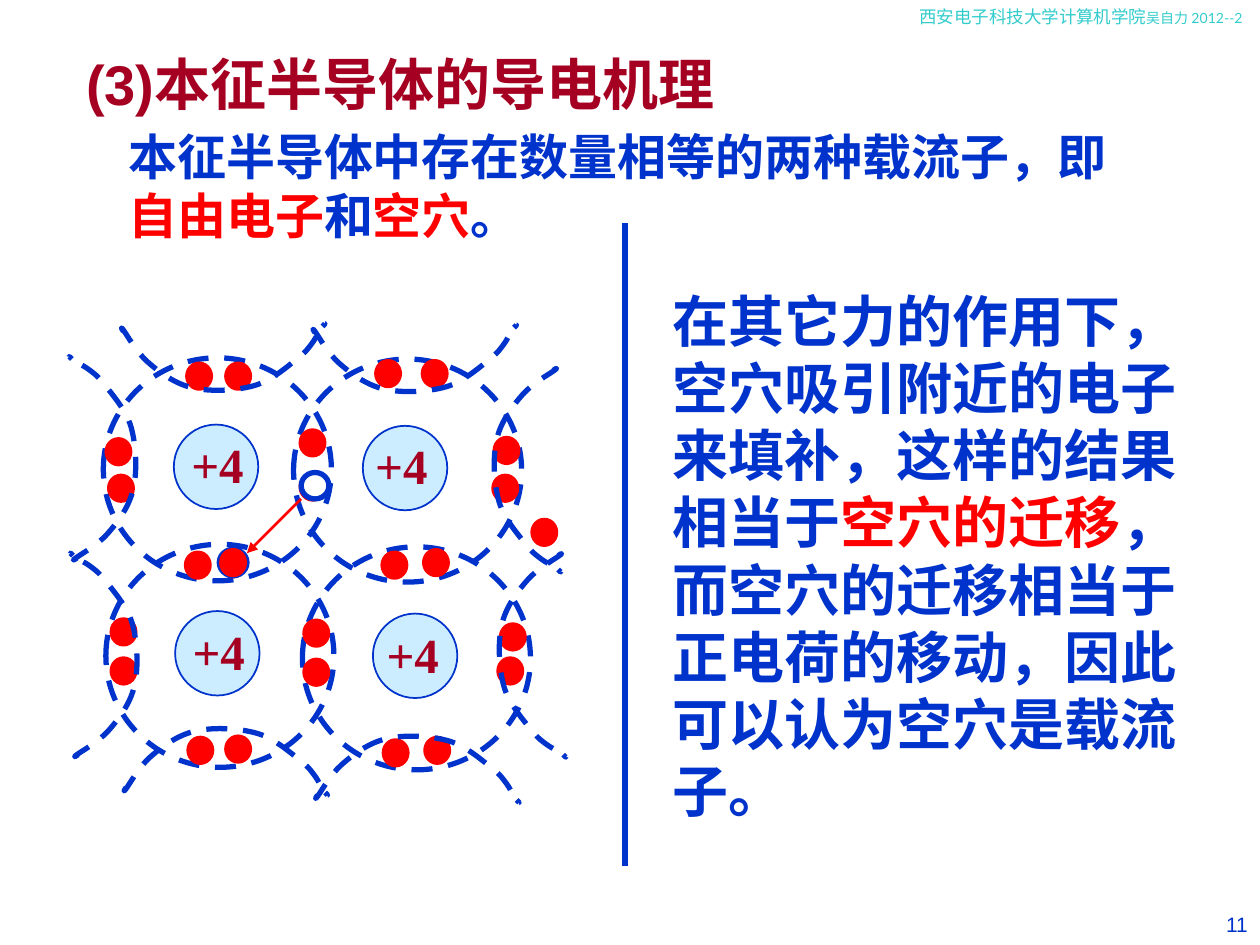
from lxml.etree import SubElement
from pptx import Presentation
from pptx.dml.color import RGBColor
from pptx.enum.dml import MSO_LINE
from pptx.enum.shapes import MSO_CONNECTOR, MSO_SHAPE
from pptx.enum.text import MSO_ANCHOR, PP_ALIGN
from pptx.oxml.ns import qn
from pptx.util import Inches, Pt

COLORS = {
    "blue": "0033CC", "red": "FF0000", "crimson": "A50021",
    "pale": "CCECFF", "teal": "33CCCC", "white": "FFFFFF",
}
RGB = {name: RGBColor.from_string(value) for name, value in COLORS.items()}
COLUMNS, ROWS = 1000, 750
CELL = Inches(0.01)  # one column wide, one row high

deck = Presentation()
deck.slide_width, deck.slide_height = COLUMNS * CELL, ROWS * CELL
page = deck.slides.add_slide(deck.slide_layouts[6])


def write(shapes, place, spans, align=PP_ALIGN.LEFT, anchor=MSO_ANCHOR.TOP, wrap=True):
    """Add a one-paragraph text box; each span is (text, colour, font format)."""
    box = shapes.add_textbox(*(n * CELL for n in place))
    box.text_frame.word_wrap = wrap
    box.text_frame.vertical_anchor = anchor
    para = box.text_frame.paragraphs[0]
    para.alignment = align
    for text, color, style in spans:
        span = para.add_run()
        span.text = text
        span.font.color.rgb = RGB[color]
        for key, value in style.items():
            setattr(span.font, key, value)


def ellipse(shapes, place, fill, line, width=3):
    """Add an ellipse; without a fill it is a dashed outline."""
    oval = shapes.add_shape(MSO_SHAPE.OVAL, *(n * CELL for n in place))
    oval.shadow.inherit = False
    oval.line.color.rgb, oval.line.width = RGB[line], Pt(width)
    if fill:
        oval.fill.solid()
        oval.fill.fore_color.rgb = RGB[fill]
    else:
        oval.fill.background()
        oval.line.dash_style = MSO_LINE.DASH


header = {"size": Pt(10), "name": "Lato"}
number = {"size": Pt(11.9), "name": "Arial"}
title = {"size": Pt(32), "name": "Times New Roman", "bold": True}
body = {**title, "size": Pt(28)}

write(page.shapes, (720, 0, 280, 40), [
    ("西安电子科技大学计算机学院", "teal", header),
    ("吴自力 2012--2", "teal", {**header, "size": Pt(8)}),
])
write(page.shapes, (750, 719, 250, 31), [("11", "blue", number)], PP_ALIGN.RIGHT)
write(page.shapes, (53, 34, 530, 64), [
    ("(3)", "crimson", {**title, "name": "Arial"}),
    ("本征半导体的导电机理", "crimson", title),
], PP_ALIGN.CENTER, MSO_ANCHOR.MIDDLE, wrap=False)

# Crystal lattice: four atoms, each inside a dashed bond ring
lattice = page.shapes.add_group_shape().shapes
atoms = [(138, 337), (288, 338), (139, 485), (296, 487)]
rings = [(82, 284), (233, 285), (84, 432), (240, 434)]
for atom, ring in zip(atoms, rings):
    ellipse(lattice, (*atom, 67, 67), "pale", "blue", 1)
    ellipse(lattice, (*ring, 181, 177), None, "blue")

electrons = [
    (149, 289), (180, 289), (299, 287), (336, 287),
    (85, 349), (87, 378), (239, 342), (239, 377), (393, 348), (392, 378),
    (148, 439), (304, 439), (337, 437), (423, 413),
    (89, 492), (89, 523), (242, 493), (242, 524), (398, 496), (396, 523),
    (150, 586), (180, 585), (305, 588), (338, 586), (176, 438),
]
for electron in electrons:
    ellipse(lattice, (*electron, 18, 19), "red", "red")

# Outer bonds: one Bezier outline around its centre, mirrored and turned per side.
# After the start point, every three points make one curve.
outline = [
    (-21, 78),
    (-22, 79), (-26, 81), (-22, 78),
    (-18, 75), (-5, 68), (3, 59),
    (11, 50), (21, 37), (24, 22),
    (27, 8), (26, -12), (22, -26),
    (18, -40), (6, -53), (0, -61),
    (-6, -68), (-8, -69), (-12, -72),
    (-16, -75), (-23, -78), (-25, -80),
    (-28, -81), (-27, -82), (-27, -82),
    (-27, -82), (-25, -80), (-25, -80),
]
facing = {  # horizontal sign, vertical sign, rotation
    "left": (1, 1, 0), "right": (-1, -1, 0),
    "top": (-1, -1, 270), "bottom": (-1, 1, 90),
}
bonds = [
    ("right", 418, 372), ("right", 422, 519), ("top", 176, 283), ("top", 328, 284),
    ("bottom", 178, 605), ("bottom", 330, 611), ("left", 82, 365), ("left", 83, 521),
]
for side, center_x, center_y in bonds:
    sign_x, sign_y, rotation = facing[side]
    points = [((center_x + sign_x * x) * CELL, (center_y + sign_y * y) * CELL)
              for x, y in outline]
    builder = lattice.build_freeform(*points[0])
    builder.add_line_segments(points[1:], close=False)
    bond = builder.convert_to_shape()
    bond.rotation = rotation
    bond.shadow.inherit = False
    bond.fill.background()
    bond.line.color.rgb, bond.line.width = RGB["blue"], Pt(3)
    bond.line.dash_style = MSO_LINE.DASH
    route = bond._element.find(".//" + qn("a:path"))
    segments = route.findall(qn("a:lnTo"))
    for first in range(0, len(segments), 3):
        curve = SubElement(route, qn("a:cubicBezTo"))
        for segment in segments[first:first + 3]:
            curve.append(segment[0])
            route.remove(segment)

for charge in [(142, 340), (288, 341), (143, 488), (297, 491)]:
    write(lattice, (*charge, 77, 57), [("+4", "crimson", body)])
ellipse(lattice, (174, 436, 22, 21), "white", "blue")

divider = page.shapes.add_connector(
    MSO_CONNECTOR.STRAIGHT, *(n * CELL for n in (496, 177, 496, 687)))

write(page.shapes, (524, 222, 423, 437), [
    ("在其它力的作用下，空穴吸引附近的电子来填补，这样的结果相当于", "blue", title),
    ("空穴的迁移", "red", title),
    ("，而空穴的迁移相当于正电荷的移动，因此可以认为空穴是载流子。", "blue", title),
], anchor=MSO_ANCHOR.MIDDLE)
write(page.shapes, (92, 95, 831, 104), [
    ("本征半导体中存在数量相等的两种载流子，即", "blue", body),
    ("自由电子", "red", body),
    ("和", "blue", body),
    ("空穴", "red", body),
    ("。", "blue", body),
], anchor=MSO_ANCHOR.MIDDLE)

# An electron fills the lower hole and leaves a new one behind
hop = page.shapes.add_group_shape().shapes
ellipse(hop, (176, 437, 18, 19), "red", "red")
ellipse(hop, (239, 375, 22, 21), "white", "blue")
arrow = hop.add_connector(
    MSO_CONNECTOR.STRAIGHT, *(n * CELL for n in (239, 396, 196, 439)))

for line, color, width in [(divider, "blue", 3), (arrow, "red", 1.5)]:
    line.line.color.rgb, line.line.width = RGB[color], Pt(width)
    SubElement(line._element.spPr, qn("a:effectLst"))
SubElement(arrow.line._get_or_add_ln(), qn("a:tailEnd"), type="triangle")

deck.save("out.pptx")
